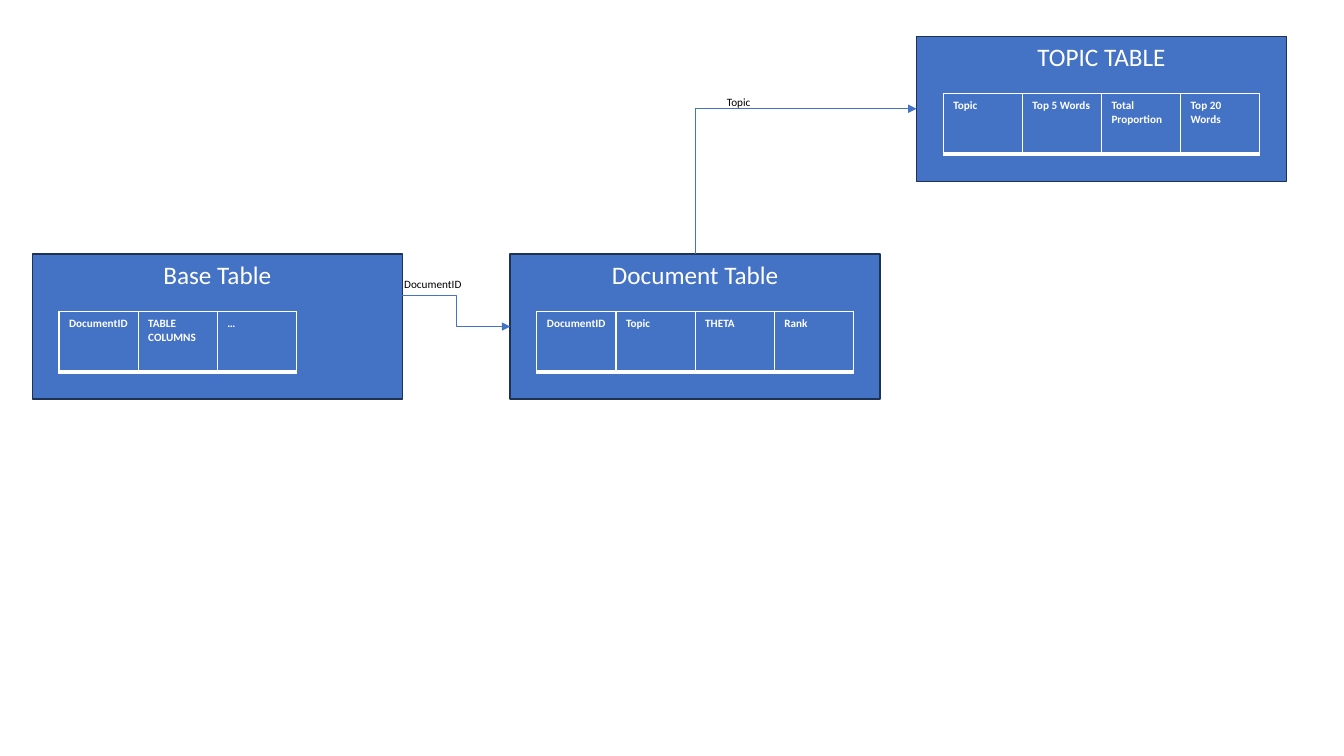
from dataclasses import dataclass

from lxml.etree import SubElement
from pptx import Presentation
from pptx.dml.color import RGBColor
from pptx.enum.shapes import MSO_CONNECTOR, MSO_SHAPE
from pptx.enum.text import MSO_ANCHOR, PP_ALIGN
from pptx.oxml import parse_xml
from pptx.oxml.ns import nsdecls, qn
from pptx.util import Inches, Pt


@dataclass(frozen=True)
class Theme:
    """Colours, font and type sizes of the slide."""
    blue: str = "4472C4"
    edge: str = "1E3256"
    white: str = "FFFFFF"
    black: str = "000000"
    font: str = "Calibri"
    title: float = 18
    small: float = 8


CARD_W, CARD_H = 3.67, 1.44
GRID_DX, GRID_DY = 0.265, 0.57
COL_W, ROW_H = 0.785, 0.6
BORDERS = {"lnL": 1, "lnR": 1, "lnT": 1, "lnB": 3}


class Diagram:
    """Draws the elements of a table diagram on one slide."""

    def __init__(self, slide, theme):
        """Keep the slide and its style."""
        self.s, self.theme = slide, theme

    def add_text(self, tf, text, size, color, bold=False, align=PP_ALIGN.LEFT):
        """Add one styled run to the first paragraph."""
        p = tf.paragraphs[0]
        p.alignment = align
        r = p.add_run()
        r.text = text
        r.font.name, r.font.size, r.font.bold = self.theme.font, Pt(size), bold
        r.font.color.rgb = RGBColor.from_string(color)

    def card(self, x, y, title, columns):
        """Draw a titled box that holds a row of column names."""
        t = self.theme
        sp = self.s.shapes.add_shape(MSO_SHAPE.RECTANGLE, Inches(x), Inches(y),
                                     Inches(CARD_W), Inches(CARD_H))
        sp.shadow.inherit = False
        sp.fill.solid()
        sp.fill.fore_color.rgb = RGBColor.from_string(t.blue)
        sp.line.color.rgb = RGBColor.from_string(t.edge)
        sp.line.width = Pt(1)
        sp.text_frame.vertical_anchor = MSO_ANCHOR.TOP
        self.add_text(sp.text_frame, title, t.title, t.white, align=PP_ALIGN.CENTER)
        self.grid(x + GRID_DX, y + GRID_DY, columns)

    def grid(self, x, y, columns):
        """Draw a one-row table of column names."""
        t = self.theme
        table = self.s.shapes.add_table(
            1, len(columns), Inches(x), Inches(y),
            Inches(COL_W * len(columns)), Inches(ROW_H)).table
        table.horz_banding = False
        for i, name in enumerate(columns):
            table.columns[i].width = Inches(COL_W)
            cell = table.cell(0, i)
            cell.fill.solid()
            cell.fill.fore_color.rgb = RGBColor.from_string(t.blue)
            self.add_text(cell.text_frame, name, t.small, t.white, bold=True)
            self.border(cell)

    def border(self, cell):
        """Give a cell its white borders, heavy at the bottom."""
        tc_pr = cell._tc.get_or_add_tcPr()
        for i, (side, width) in enumerate(BORDERS.items()):
            tc_pr.insert(i, parse_xml(
                f'<a:{side} {nsdecls("a")} w="{Pt(width)}"><a:solidFill>'
                f'<a:srgbClr val="{self.theme.white}"/></a:solidFill></a:{side}>'))

    def arrow(self, x1, y1, x2, y2, corner=False):
        """Draw an elbow arrow; a corner arrow goes up, then right."""
        if corner:  # a quarter turn swaps width and height about the centre
            cx, cy = (x1 + x2) / 2, (y1 + y2) / 2
            dx, dy = (y1 - y2) / 2, (x2 - x1) / 2
            x1, y1, x2, y2 = cx + dx, cy + dy, cx - dx, cy - dy
        line = self.s.shapes.add_connector(
            MSO_CONNECTOR.ELBOW, Inches(x1), Inches(y1), Inches(x2), Inches(y2))
        line.line.color.rgb = RGBColor.from_string(self.theme.blue)
        line.line.width = Pt(0.5)
        sp_pr = line._element.spPr
        if corner:
            sp_pr.find(qn("a:xfrm")).set("rot", str(90 * 60000))
            sp_pr.find(qn("a:prstGeom")).set("prst", "bentConnector2")
        SubElement(sp_pr.find(qn("a:ln")), qn("a:tailEnd"), type="triangle")
        SubElement(sp_pr, qn("a:effectLst"))

    def label(self, x, y, w, text):
        """Add the key that an arrow carries."""
        tf = self.s.shapes.add_textbox(Inches(x), Inches(y),
                                       Inches(w), Inches(0.24)).text_frame
        tf.word_wrap = False
        self.add_text(tf, text, self.theme.small, self.theme.black)


def main():
    """Build the slide and save it."""
    prs = Presentation()
    prs.slide_width, prs.slide_height = Inches(13.33), Inches(7.5)
    d = Diagram(prs.slides.add_slide(prs.slide_layouts[6]), Theme())

    base_x, doc_x, topic_x = 0.32, 5.06, 9.09
    row_y, topic_y = 2.52, 0.36
    d.card(topic_x, topic_y, "TOPIC TABLE",
           ["Topic", "Top 5 Words", "Total Proportion", "Top 20 Words"])
    d.card(doc_x, row_y, "Document Table",
           ["DocumentID", "Topic", "THETA", "Rank"])
    d.card(base_x, row_y, "Base Table", ["DocumentID", "TABLE COLUMNS", "…"])

    d.arrow(base_x + CARD_W, 2.93, doc_x, row_y + CARD_H / 2)
    d.label(3.91, 2.7, 0.78, "DocumentID")
    d.arrow(doc_x + CARD_W / 2, row_y, topic_x, topic_y + CARD_H / 2, corner=True)
    d.label(7.11, 0.9, 0.45, "Topic")
    prs.save("out.pptx")


main()
